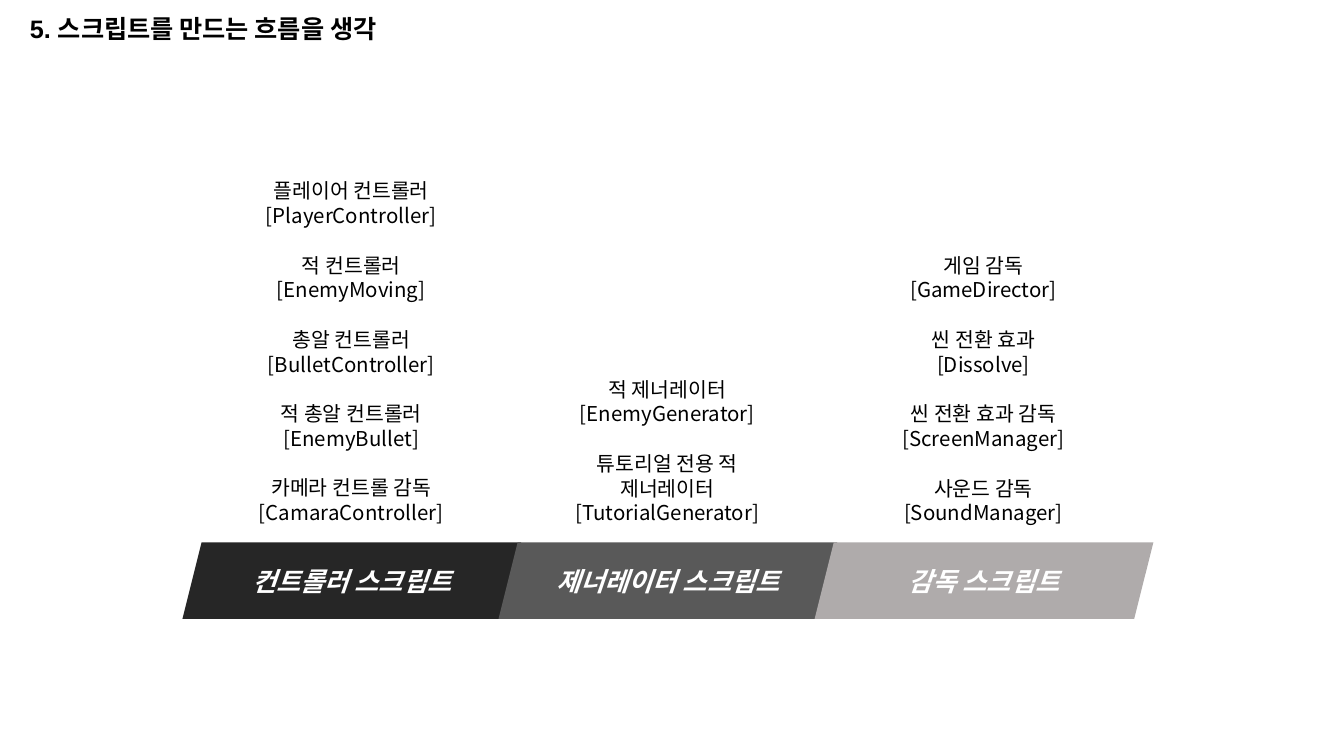
from lxml.etree import SubElement
from pptx import Presentation
from pptx.dml.color import RGBColor
from pptx.enum.shapes import MSO_SHAPE
from pptx.enum.text import MSO_ANCHOR, MSO_AUTO_SIZE, PP_ALIGN
from pptx.oxml.ns import qn
from pptx.util import Inches, Pt

KOREAN = "Noto Sans CJK KR"
LEFT, STEP = 1.81, 3.135
BAR_TOP, BAR_WIDE, BAR_HIGH = 5.38, 3.36, 0.76
LIST_END, LIST_WIDE, LIST_IN = 5.26, 2.37, 0.49
LINE = 17.7

# Bar label, bar fill, text lines in the list, scripts
GROUPS = [
    ("컨트롤러 스크립트", "262626", 14, [
        ("플레이어 컨트롤러", "[PlayerController]"),
        ("적 컨트롤러", "[EnemyMoving]"),
        ("총알 컨트롤러", "[BulletController]"),
        ("적 총알 컨트롤러", "[EnemyBullet]"),
        ("카메라 컨트롤 감독", "[CamaraController]"),
    ]),
    ("제너레이터 스크립트", "595959", 6, [
        ("적 제너레이터", "[EnemyGenerator]"),
        ("튜토리얼 전용 적 제너레이터", "[TutorialGenerator]"),
    ]),
    ("감독 스크립트", "AFABAB", 11, [
        ("게임 감독", "[GameDirector]"),
        ("씬 전환 효과", "[Dissolve]"),
        ("씬 전환 효과 감독", "[ScreenManager]"),
        ("사운드 감독", "[SoundManager]"),
    ]),
]


def color(code):
    return RGBColor.from_string(code)


def write(para, text, size=14.6, font=KOREAN, ink="000000", bold=False,
          italic=False, before=0, line=None):
    """Put one formatted, centred run into a paragraph."""
    para.alignment = PP_ALIGN.CENTER
    para.space_before = Pt(before)
    if line:
        para.line_spacing = Pt(line)
    run = para.add_run()
    run.text = text
    face = run.font
    face.size, face.name = Pt(size), font
    face.bold, face.italic = bold, italic
    face.color.rgb = color(ink)
    SubElement(run._r.get_or_add_rPr(), qn("a:ea"), typeface=KOREAN)


class Page:
    def __init__(self, deck):
        self.slide = deck.slides.add_slide(deck.slide_layouts[5])
        self.shapes = self.slide.shapes

    def title(self, text, x, y, wide, high):
        head = self.shapes.title
        head.left, head.top = Inches(x), Inches(y)
        head.width, head.height = Inches(wide), Inches(high)
        frame = head.text_frame
        frame.vertical_anchor = MSO_ANCHOR.MIDDLE
        frame.auto_size = MSO_AUTO_SIZE.NONE
        write(frame.paragraphs[0], text, size=18, font="Arial", bold=True)

    def bar(self, text, x, fill):
        bar = self.shapes.add_shape(
            MSO_SHAPE.PARALLELOGRAM, Inches(x), Inches(BAR_TOP),
            Inches(BAR_WIDE), Inches(BAR_HIGH))
        bar.shadow.inherit = False
        bar.fill.solid()
        bar.fill.fore_color.rgb = color(fill)
        bar.line.fill.background()
        frame = bar.text_frame
        frame.vertical_anchor = MSO_ANCHOR.MIDDLE
        write(frame.paragraphs[0], text, size=18.7, ink="FFFFFF",
              bold=True, italic=True)

    def scripts(self, pairs, x, lines):
        """List name and class pairs so that the box ends above its bar."""
        high = 0.1 + lines * LINE / 72
        box = self.shapes.add_textbox(
            Inches(x), Inches(LIST_END - high), Inches(LIST_WIDE), Inches(high))
        frame = box.text_frame
        frame.word_wrap = True
        frame.auto_size = MSO_AUTO_SIZE.SHAPE_TO_FIT_TEXT
        for i, (name, code) in enumerate(pairs):
            para = frame.add_paragraph() if i else frame.paragraphs[0]
            write(para, name, before=LINE if i else 0, line=LINE)
            write(frame.add_paragraph(), code, line=LINE)


def main():
    deck = Presentation()
    deck.slide_width, deck.slide_height = Inches(13.33), Inches(7.5)
    page = Page(deck)
    page.title("5. 스크립트를 만드는 흐름을 생각", 0, 0, 4.03, 0.57)
    for i, (label, fill, lines, pairs) in enumerate(GROUPS):
        x = LEFT + i * STEP
        page.bar(label, x, fill)
        page.scripts(pairs, x + LIST_IN, lines)
    deck.save("out.pptx")


if __name__ == "__main__":
    main()
